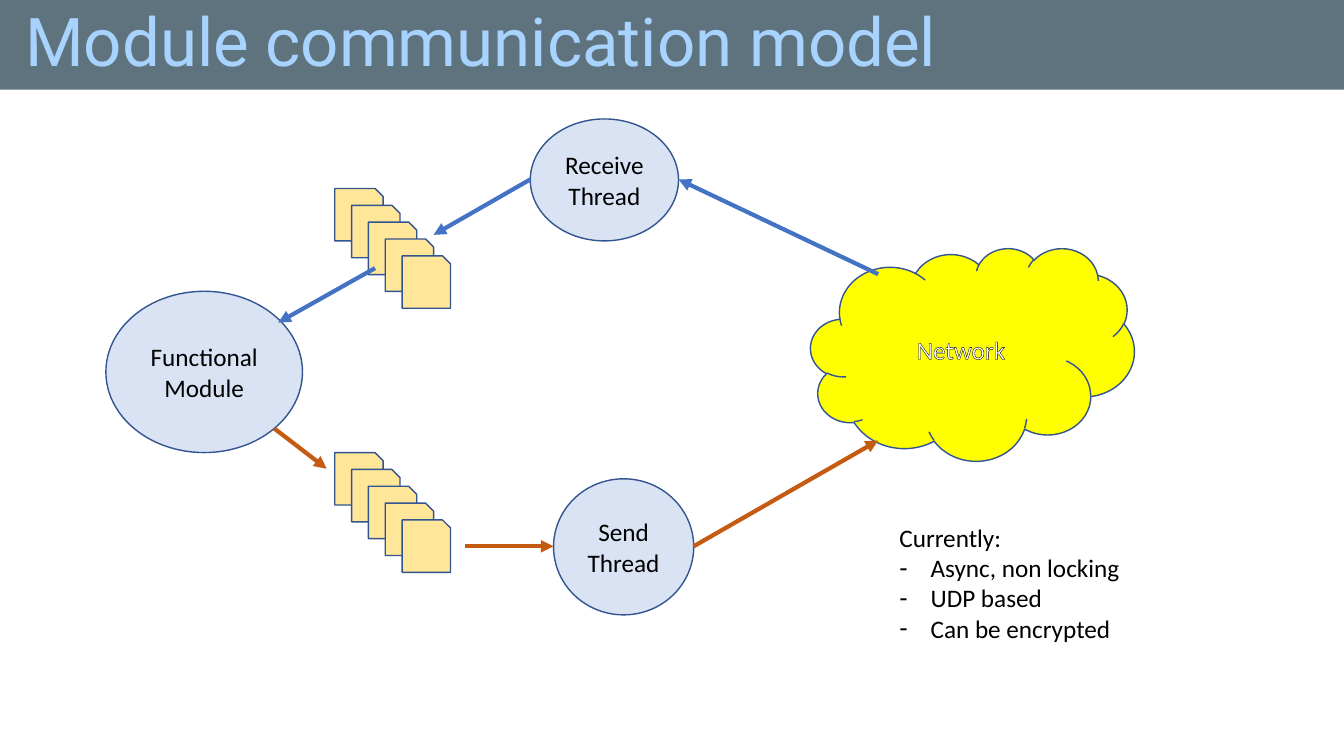
import dataclasses

import lxml.etree
import pptx
import pptx.dml.color
import pptx.enum.shapes
import pptx.enum.text
import pptx.oxml
import pptx.oxml.ns
import pptx.util

Inches = pptx.util.Inches
Pt = pptx.util.Pt
Preset = pptx.enum.shapes.MSO_SHAPE
Align = pptx.enum.text.PP_ALIGN
Anchor = pptx.enum.text.MSO_ANCHOR
qn = pptx.oxml.ns.qn

BAR, TITLE, EDGE = "5E737E", "A8D3FF", "325491"
NODE, MESSAGE, CLOUD = "DAE3F3", "FFE699", "FFFF00"
INCOMING, OUTGOING = "4472C4", "C55A11"
BLACK, WHITE = "000000", "FFFFFF"


@dataclasses.dataclass(frozen=True)
class Box:
    left: float
    top: float
    width: float
    height: float

    def lengths(self) -> tuple:
        return tuple(Inches(v) for v in dataclasses.astuple(self))


@dataclasses.dataclass(frozen=True)
class Node:
    label: str
    box: Box
    preset: int = Preset.OVAL
    fill: str = NODE
    ink: str = BLACK


@dataclasses.dataclass(frozen=True)
class Flow:
    start: tuple
    end: tuple
    color: str


def rgb(color: str) -> pptx.dml.color.RGBColor:
    return pptx.dml.color.RGBColor.from_string(color)


def place(placeholder, box: Box) -> None:
    (placeholder.left, placeholder.top,
     placeholder.width, placeholder.height) = box.lengths()


def style(paragraph, color: str, size: int = 18, font: str = "Calibri") -> None:
    for run in paragraph.runs:
        run.font.name = font
        run.font.size = Pt(size)
        run.font.color.rgb = rgb(color)


def draw_shape(shapes, preset: int, box: Box, fill: str, edge: str | None = EDGE):
    shape = shapes.add_shape(preset, *box.lengths())
    shape.shadow.inherit = False
    shape.fill.solid()
    shape.fill.fore_color.rgb = rgb(fill)
    if edge:
        shape.line.color.rgb = rgb(edge)
        shape.line.width = Pt(1)
    else:
        shape.line.fill.background()
    return shape


def draw_node(shapes, node: Node):
    shape = draw_shape(shapes, node.preset, node.box, node.fill)
    shape.text_frame.text = node.label
    shape.text_frame.vertical_anchor = Anchor.MIDDLE
    label = shape.text_frame.paragraphs[0]
    label.alignment = Align.CENTER
    style(label, node.ink)
    return shape


def outline_text(run, color: str, width: float) -> None:
    outline = pptx.oxml.parse_xml(
        f'<a:ln {pptx.oxml.ns.nsdecls("a")} w="{Pt(width)}">'
        f'<a:solidFill><a:srgbClr val="{color}"/></a:solidFill></a:ln>')
    run.font._element.insert(0, outline)


def draw_queue(shapes, left: float, top: float) -> None:
    queue = shapes.add_group_shape()
    for i in range(QUEUE_LENGTH):
        message = Box(left + i * QUEUE_STEP, top + i * QUEUE_STEP, 0.48, 0.52)
        draw_shape(queue.shapes, Preset.SNIP_1_RECTANGLE, message, MESSAGE)


def draw_flow(shapes, flow: Flow) -> None:
    arrow = shapes.add_connector(
        pptx.enum.shapes.MSO_CONNECTOR.STRAIGHT,
        *(Inches(v) for v in flow.start + flow.end))
    arrow.line.color.rgb = rgb(flow.color)
    arrow.line.width = Pt(3)
    lxml.etree.SubElement(arrow.line._get_or_add_ln(), qn("a:tailEnd"), type="triangle")
    lxml.etree.SubElement(arrow._element.spPr, qn("a:effectLst"))


def set_bullet(paragraph, mark: str | None, indent: float = 0) -> None:
    properties = paragraph._p.get_or_add_pPr()
    properties.set("marL", str(Inches(indent)))
    properties.set("indent", str(-Inches(indent)))
    if mark:
        lxml.etree.SubElement(properties, qn("a:buChar"), char=mark)
    else:
        lxml.etree.SubElement(properties, qn("a:buNone"))


QUEUE_LENGTH, QUEUE_STEP = 5, 0.167
QUEUES = [(3.32, 1.87), (3.32, 4.49)]
HEADER = Box(0, 0, 13.33, 0.89)
NODES = [
    Node("Functional Module", Box(1.05, 2.89, 1.95, 1.6)),
    Node("Receive Thread", Box(5.26, 1.18, 1.47, 1.21)),
    Node("Send Thread", Box(5.49, 4.75, 1.39, 1.35)),
]
NETWORK = Node("Network", Box(8.04, 2.46, 3.21, 2.11), Preset.CLOUD, CLOUD, WHITE)
FLOWS = [
    Flow((8.71, 2.72), (6.73, 1.78), INCOMING),
    Flow((5.26, 1.78), (4.3, 2.33), INCOMING),
    Flow((3.72, 2.66), (2.76, 3.2), INCOMING),
    Flow((2.72, 4.25), (3.24, 4.65), OUTGOING),
    Flow((4.61, 5.42), (5.49, 5.42), OUTGOING),
    Flow((6.88, 5.42), (8.71, 4.37), OUTGOING),
]
STATUS = ["Currently:", "Async, non locking", "UDP based", "Can be encrypted"]

deck = pptx.Presentation()
deck.slide_width, deck.slide_height = Inches(13.33), Inches(7.5)
slide = deck.slides.add_slide(deck.slide_layouts[1])

header_bar = draw_shape(slide.shapes, Preset.RECTANGLE, HEADER, BAR, None)
slide.shapes._spTree.insert(2, header_bar._element)

title = slide.shapes.title
place(title, HEADER)
title.text_frame.text = "Module communication model"
title.text_frame.auto_size = pptx.enum.text.MSO_AUTO_SIZE.NONE
title.text_frame.vertical_anchor = Anchor.MIDDLE
title.text_frame.margin_left = Inches(0.25)
heading = title.text_frame.paragraphs[0]
heading.alignment = Align.LEFT
heading.line_spacing = 0.9
style(heading, TITLE, 48, "Roboto")

for thread in NODES:
    draw_node(slide.shapes, thread)
network = draw_node(slide.shapes, NETWORK)
outline_text(network.text_frame.paragraphs[0].runs[0], BLACK, 0.75)
for corner in QUEUES:
    draw_queue(slide.shapes, *corner)
for flow in FLOWS:
    draw_flow(slide.shapes, flow)

status = slide.placeholders[1]
place(status, Box(8.82, 5.13, 2.41, 1.31))
status.text_frame.text = "\n".join(STATUS)
status.text_frame.auto_size = pptx.enum.text.MSO_AUTO_SIZE.NONE
status.text_frame.word_wrap = False
for position, entry in enumerate(status.text_frame.paragraphs):
    entry.space_before = Pt(0)
    style(entry, BLACK)
    if position:
        set_bullet(entry, "-", 0.31)
    else:
        set_bullet(entry, None)

deck.save("out.pptx")
